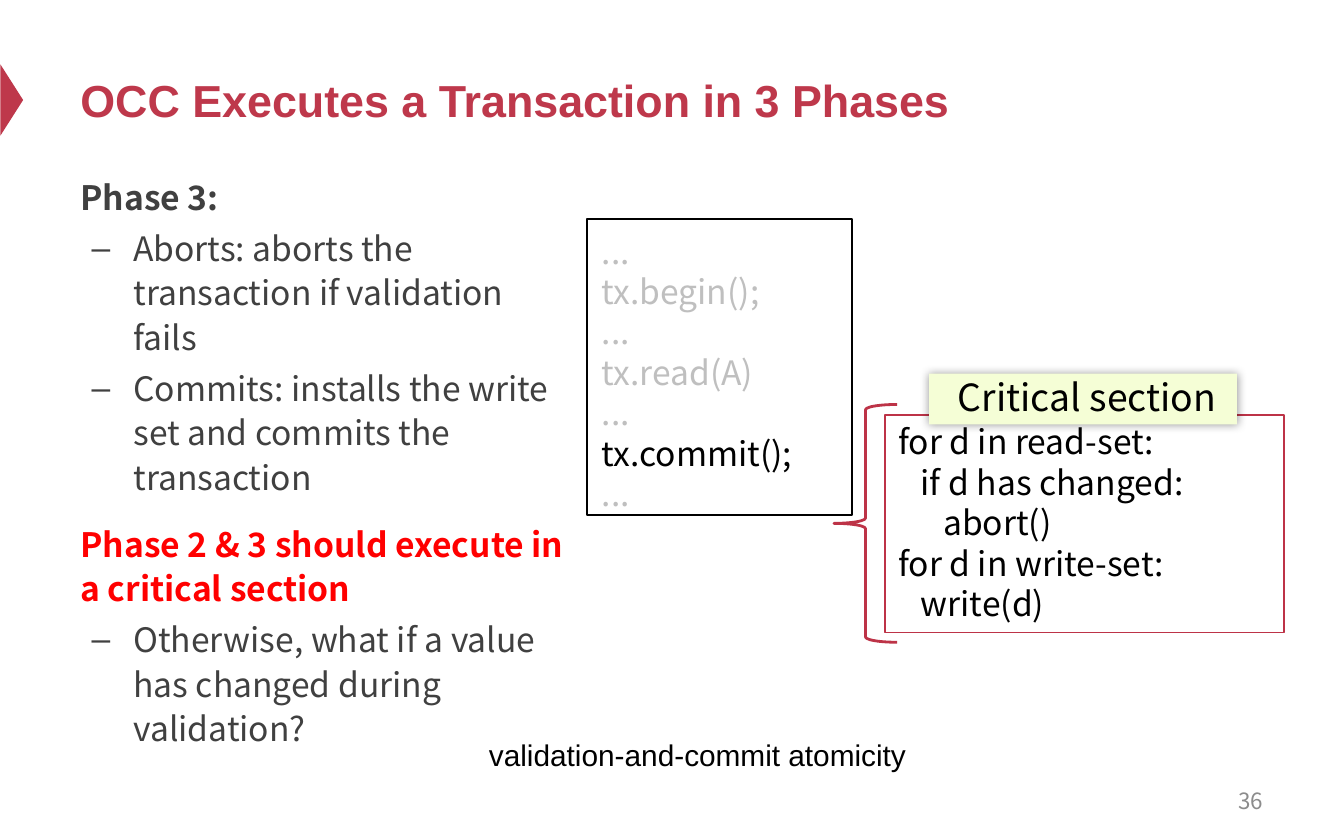
from dataclasses import dataclass
from typing import Optional

from lxml import etree
from pptx import Presentation
from pptx.dml.color import RGBColor
from pptx.enum.shapes import MSO_SHAPE
from pptx.enum.text import MSO_ANCHOR, PP_ALIGN
from pptx.oxml import parse_xml
from pptx.oxml.ns import nsdecls, qn
from pptx.util import Pt

RECTANGLE, TRIANGLE, BRACE = (
    MSO_SHAPE.RECTANGLE, MSO_SHAPE.ISOSCELES_TRIANGLE, MSO_SHAPE.LEFT_BRACE)
TOP, MIDDLE = MSO_ANCHOR.TOP, MSO_ANCHOR.MIDDLE
LEFT, CENTER, RIGHT = PP_ALIGN.LEFT, PP_ALIGN.CENTER, PP_ALIGN.RIGHT

CRIMSON = RGBColor(0xBE, 0x38, 0x4B)
OUTLINE_RED = RGBColor(0xBD, 0x33, 0x47)
RED = RGBColor(0xFF, 0x00, 0x00)
BLACK = RGBColor(0x00, 0x00, 0x00)
DARK_GRAY = RGBColor(0x40, 0x40, 0x40)
PAGE_GRAY = RGBColor(0x8C, 0x8C, 0x8C)
CODE_GRAY = RGBColor(0xBF, 0xBF, 0xBF)
PALE_YELLOW = RGBColor(0xF5, 0xFE, 0xD6)

HEADING_FONT, BODY_FONT = "Arial", "Noto Sans CJK SC"
CODE_SPACING = 21.65


@dataclass(frozen=True)
class Box:
    left: float
    top: float
    width: float
    height: float

    def lengths(self) -> tuple:
        return Pt(self.left), Pt(self.top), Pt(self.width), Pt(self.height)


@dataclass(frozen=True)
class Line:
    text: str
    size: float = 18
    color: RGBColor = BLACK
    bold: bool = False
    font: str = BODY_FONT
    align: PP_ALIGN = LEFT
    spacing: Optional[float] = None
    before: float = 0
    bullet: bool = False


def write(shape, lines: list[Line], anchor=TOP, wrap=True,
          margins=(7.2, 3.6, 7.2, 3.6)) -> None:
    """Fill a shape's text frame; margins are left, top, right, bottom."""
    frame = shape.text_frame
    left, top, right, bottom = map(Pt, margins)
    frame_format = {"word_wrap": wrap, "vertical_anchor": anchor,
                    "margin_left": left, "margin_top": top,
                    "margin_right": right, "margin_bottom": bottom}
    for name, value in frame_format.items():
        setattr(frame, name, value)
    for index, line in enumerate(lines):
        paragraph = frame.add_paragraph() if index else frame.paragraphs[0]
        paragraph_format = {"alignment": line.align, "space_before": Pt(line.before)}
        if line.spacing:
            paragraph_format["line_spacing"] = Pt(line.spacing)
        for name, value in paragraph_format.items():
            setattr(paragraph, name, value)
        if line.bullet:
            properties = paragraph._p.get_or_add_pPr()
            properties.set("marL", str(Pt(28.4)))
            properties.set("indent", str(Pt(-22.4)))
            etree.SubElement(properties, qn("a:buFont")).set("typeface", HEADING_FONT)
            etree.SubElement(properties, qn("a:buChar")).set("char", "–")
        run = paragraph.add_run()
        run.text = line.text
        font_format = {"name": line.font, "size": Pt(line.size), "bold": line.bold}
        for name, value in font_format.items():
            setattr(run.font, name, value)
        run.font.color.rgb = line.color


def add_text(slide, box: Box, lines: list[Line], **frame_options) -> None:
    write(slide.shapes.add_textbox(*box.lengths()), lines, **frame_options)


def add_figure(slide, kind, box: Box, fill: Optional[RGBColor] = None,
               outline: Optional[RGBColor] = None, weight: float = 1):
    shape = slide.shapes.add_shape(kind, *box.lengths())
    shape.shadow.inherit = False
    if fill is None:
        shape.fill.background()
    else:
        shape.fill.solid()
        shape.fill.fore_color.rgb = fill
    if outline is None:
        shape.line.fill.background()
    else:
        shape.line.color.rgb = outline
        shape.line.width = Pt(weight)
    return shape


def add_glow_shadow(shape, blur: float, opacity: int) -> None:
    effects = shape._element.spPr.find(qn("a:effectLst"))
    effects.append(parse_xml(
        f'<a:outerShdw {nsdecls("a")} blurRad="{Pt(blur)}" dist="0" dir="0" '
        f'rotWithShape="0"><a:srgbClr val="{BLACK}">'
        f'<a:alpha val="{opacity * 1000}"/></a:srgbClr></a:outerShdw>'))


def main() -> None:
    presentation = Presentation()
    presentation.slide_width, presentation.slide_height = Pt(720), Pt(450)
    slide = presentation.slides.add_slide(presentation.slide_layouts[6])

    # Title and edge marker
    marker = add_figure(slide, TRIANGLE, Box(-12.8, 47.5, 38.2, 12.2), fill=CRIMSON)
    marker.rotation = 90
    add_text(slide, Box(36, 18, 648, 70.6),
             [Line("OCC Executes a Transaction in 3 Phases", 24, CRIMSON, True,
                   HEADING_FONT)], anchor=MIDDLE)

    # Explanation of phase 3
    def heading(text: str, color: RGBColor, before: float = 0) -> Line:
        return Line(text, color=color, bold=True, spacing=23.8, before=before)

    def item(text: str) -> Line:
        return Line(text, color=DARK_GRAY, spacing=23.8, before=3.6, bullet=True)

    add_text(slide, Box(36, 89.3, 278.6, 328.3), [
        heading("Phase 3:", DARK_GRAY),
        item("Aborts: aborts the transaction if validation fails"),
        item("Commits: installs the write set and commits the transaction"),
        heading("Phase 2 & 3 should execute in a critical section", RED, 12),
        item("Otherwise, what if a value has changed during validation?"),
    ], margins=(7.2, 3.1, 10, 3.6))

    # Page number
    add_text(slide, Box(516, 416.9, 167.8, 23.8),
             [Line("36", 12, PAGE_GRAY, align=RIGHT)], anchor=MIDDLE)

    # Commit procedure
    code_margins = (7.2, 3.2, 7.2, 3.6)
    procedure = ["for d in read-set:", "   if d has changed:", "      abort()",
                 "for d in write-set:", "   write(d)"]
    procedure_box = add_figure(slide, RECTANGLE, Box(474.1, 222.5, 213.8, 116.4),
                               outline=OUTLINE_RED)
    write(procedure_box, [Line(text, spacing=CODE_SPACING) for text in procedure],
          wrap=False, margins=code_margins)

    # Transaction code, with the commit call emphasized
    commit = "tx.commit();"
    transaction = ["...", "tx.begin();", "...", "tx.read(A)", "...", commit, "..."]
    add_figure(slide, RECTANGLE, Box(314.6, 117.4, 141.8, 158.4), outline=BLACK)
    add_text(slide, Box(315.4, 120.2, 133.9, 159.8),
             [Line(text, color=BLACK if text == commit else CODE_GRAY,
                   spacing=CODE_SPACING) for text in transaction],
             wrap=False, margins=code_margins)

    # Brace and critical-section label
    add_figure(slide, BRACE, Box(446.8, 216.7, 33.8, 127.4),
               outline=OUTLINE_RED, weight=1.5)
    label = add_figure(slide, RECTANGLE, Box(497.8, 200.2, 164.9, 27.2),
                       fill=PALE_YELLOW)
    add_glow_shadow(label, blur=5, opacity=40)
    write(label, [Line("Critical section", 20, align=CENTER, spacing=24)],
          margins=(10.2, 0.2, 5.8, 0))

    # Closing remark
    add_text(slide, Box(254.9, 391, 239.8, 26.6),
             [Line("validation-and-commit atomicity", 16, font=HEADING_FONT)])

    presentation.save("out.pptx")


if __name__ == "__main__":
    main()
